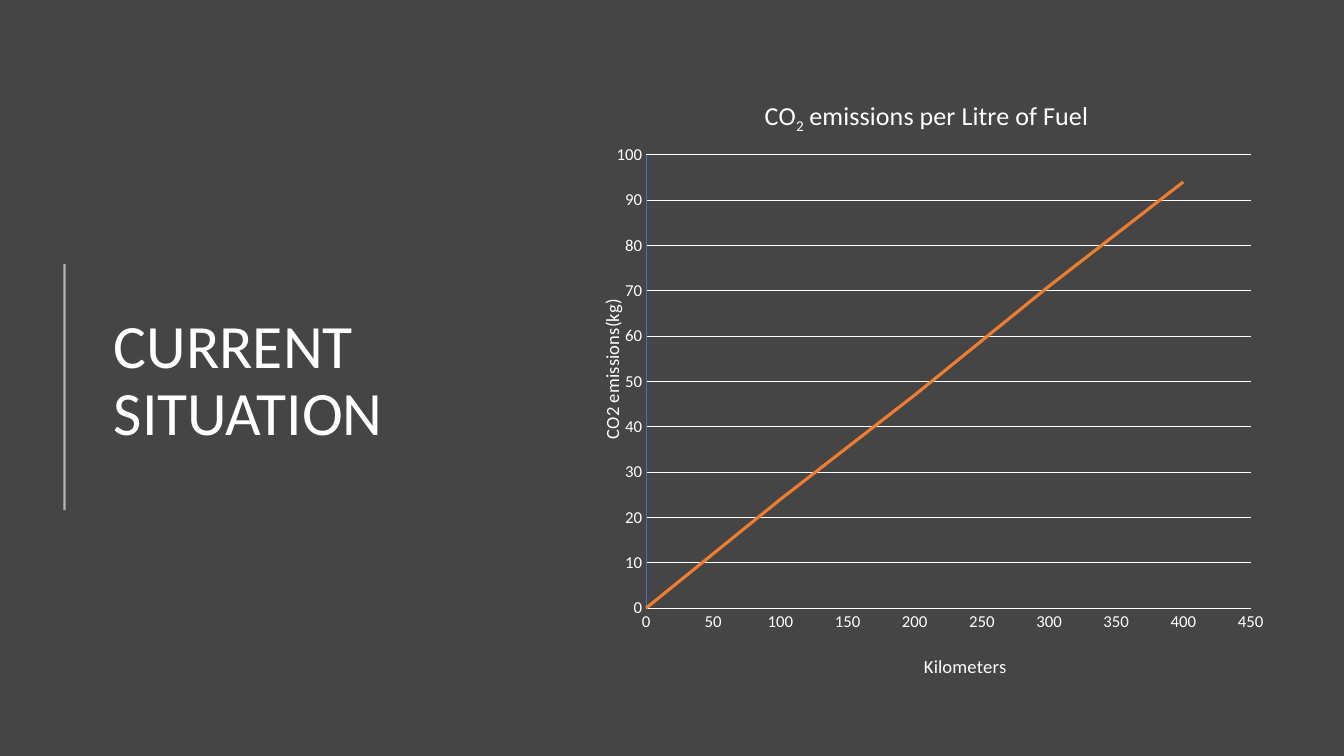
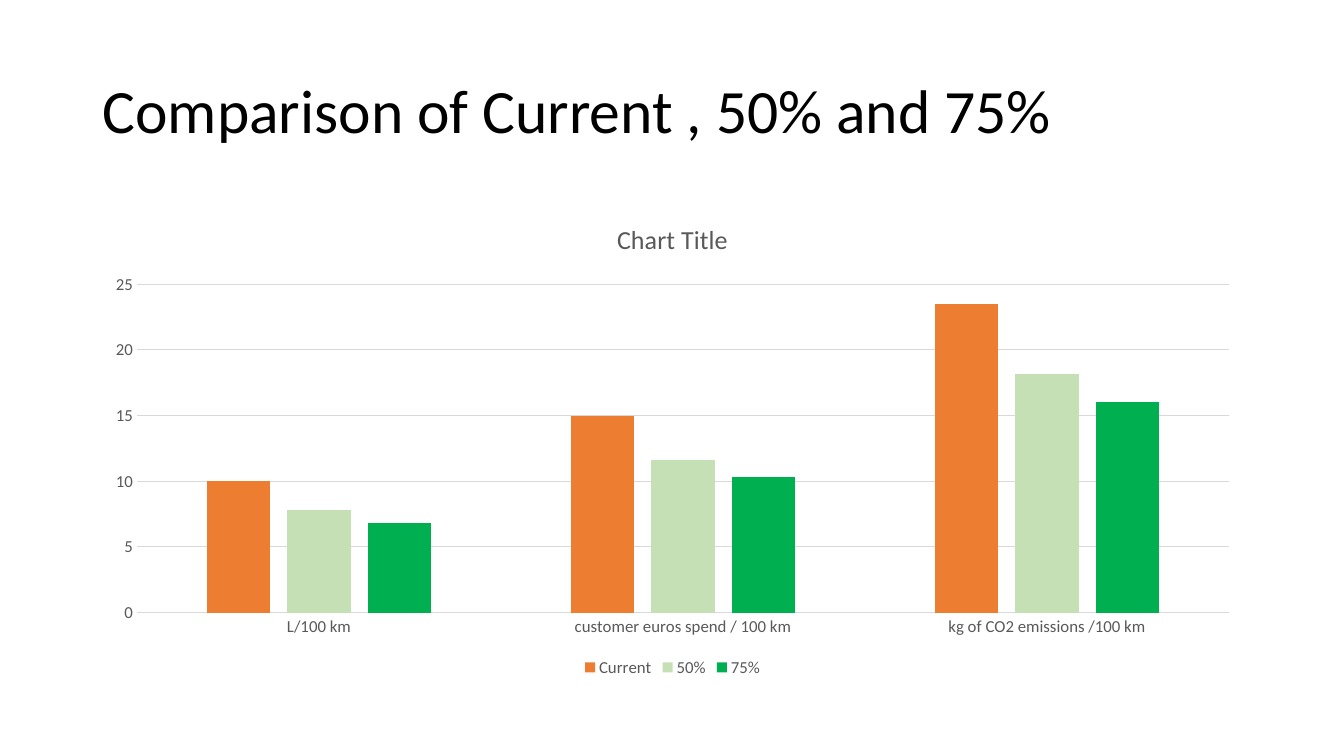
"""Build two slides on car emissions: the current situation and a comparison."""
from dataclasses import dataclass

from lxml.etree import SubElement
from pptx import Presentation
from pptx.chart.data import CategoryChartData, XyChartData
from pptx.dml.color import RGBColor
from pptx.enum.chart import XL_CHART_TYPE as ChartType
from pptx.enum.chart import XL_LEGEND_POSITION as LegendPosition
from pptx.enum.chart import XL_TICK_MARK as TickMark
from pptx.enum.shapes import MSO_CONNECTOR as Connector
from pptx.enum.text import MSO_ANCHOR as Anchor
from pptx.oxml import parse_xml
from pptx.oxml.ns import nsdecls, qn
from pptx.util import Inches, Pt


@dataclass(frozen=True)
class Theme:
    font: str = "Calibri"
    dark: str = "454545"
    white: str = "FFFFFF"
    black: str = "000000"
    gray: str = "595959"
    grid: str = "D9D9D9"
    blue: str = "4472C4"
    orange: str = "ED7D31"
    light_green: str = "C5E0B4"
    green: str = "00B050"
    title_size: float = 44
    chart_title_size: float = 18.6
    axis_title_size: float = 13.3
    label_size: float = 12
    hairline: float = 0.75


THEME = Theme()

SITUATION = {
    "title": "CURRENT SITUATION",
    "chart_title": [("CO", False), ("2", True), (" emissions per Litre of Fuel", False)],
    "x_title": "Kilometers",
    "y_title": "CO2 emissions(kg)",
    "points": [(0, 0), (100, 24), (200, 47), (300, 71), (400, 94)],
}
COMPARISON = {
    "title": "Comparison of Current , 50% and 75%",
    "chart_title": [("Chart Title", False)],
    "categories": ["L/100 km", "customer euros spend / 100 km", "kg of CO2 emissions /100 km"],
    "series": [
        ("Current", [10, 15, 23.5], THEME.orange),
        ("50%", [7.8, 11.6, 18.2], THEME.light_green),
        ("75%", [6.8, 10.3, 16], THEME.green),
    ],
}


def rgb(value):
    return RGBColor.from_string(value)


def inches(*values):
    return [Inches(value) for value in values]


def style_font(font, size, color):
    font.name, font.size, font.bold = THEME.font, Pt(size), False
    font.color.rgb = rgb(color)


def style_line(line, color, width=THEME.hairline):
    line.color.rgb = rgb(color)
    line.width = Pt(width)


def add_slide(presentation, background):
    slide = presentation.slides.add_slide(presentation.slide_layouts[6])
    slide.background.fill.solid()
    slide.background.fill.fore_color.rgb = rgb(background)
    return slide


def add_text(slide, text, box, size=THEME.title_size, color=THEME.black):
    frame = slide.shapes.add_textbox(*inches(*box)).text_frame
    frame.word_wrap = True
    frame.vertical_anchor = Anchor.MIDDLE
    paragraph = frame.paragraphs[0]
    paragraph.line_spacing = 0.9
    run = paragraph.add_run()
    run.text = text
    style_font(run.font, size, color)


def add_accent_line(slide, x, top, bottom):
    line = slide.shapes.add_connector(Connector.STRAIGHT, *inches(x, top, x, bottom))
    style_line(line.line, THEME.white, 1.5)
    color = line._element.spPr.find(".//" + qn("a:srgbClr"))
    SubElement(color, qn("a:alpha")).set("val", "60000")
    SubElement(line._element.spPr, qn("a:effectLst"))


def layout_xml(x, y, size=None):
    parts = {"x": x, "y": y}
    target = ""
    if size:
        parts.update(w=size[0], h=size[1])
        target = '<c:layoutTarget val="inner"/>'
    modes = "".join(f'<c:{key}Mode val="edge"/>' for key in "xy")
    values = "".join(f'<c:{key} val="{value}"/>' for key, value in parts.items())
    return parse_xml(f"<c:layout {nsdecls('c')}><c:manualLayout>{target}{modes}{values}"
                     "</c:manualLayout></c:layout>")


def set_title(title, runs, size, color, position=None):
    paragraph = title.text_frame.paragraphs[0]
    for text, subscript in runs:
        run = paragraph.add_run()
        run.text = text
        style_font(run.font, size, color)
        if subscript:
            run.font._element.set("baseline", "-25000")
    if position:
        element = title._element
        for old in element.findall(qn("c:layout")):
            element.remove(old)
        element.find(qn("c:tx")).addnext(layout_xml(*position))


def style_axis(axis, maximum, step, color):
    axis.major_tick_mark = axis.minor_tick_mark = TickMark.NONE
    style_font(axis.tick_labels.font, THEME.label_size, color)
    if step:
        axis.minimum_scale, axis.maximum_scale, axis.major_unit = 0, maximum, step


def add_chart(slide, kind, data, box, title, color, grid, maximum, step, title_at=None):
    chart = slide.shapes.add_chart(kind, *inches(*box), data).chart
    style_font(chart.font, 10, color)
    chart.has_legend = False
    set_title(chart.chart_title, title, THEME.chart_title_size, color, title_at)
    style_axis(chart.value_axis, maximum, step, color)
    chart.value_axis.has_major_gridlines = True
    style_line(chart.value_axis.major_gridlines.format.line, grid)
    style_line(chart.category_axis.format.line, grid)
    return chart


def build_situation(presentation):
    slide = add_slide(presentation, THEME.dark)
    add_text(slide, SITUATION["title"], (1.03, 0.78, 3.69, 6.02), color=THEME.white)
    add_accent_line(slide, 0.64, 2.62, 5.06)
    data = XyChartData()
    series = data.add_series("Series 1")
    for x, y in SITUATION["points"]:
        series.add_data_point(x, y)
    chart = add_chart(slide, ChartType.XY_SCATTER_LINES_NO_MARKERS, data,
                      (5.77, 0.7, 6.86, 6.09), SITUATION["chart_title"],
                      THEME.white, THEME.white, 100, 10, (0.26, 0.04))
    style_axis(chart.category_axis, 450, 50, THEME.white)
    chart.category_axis.has_major_gridlines = False
    style_line(chart.value_axis.format.line, THEME.blue)
    for axis, key, position in ((chart.category_axis, "x_title", (0.49, 0.95)),
                                (chart.value_axis, "y_title", (0.02, 0.37))):
        set_title(axis.axis_title, [(SITUATION[key], False)],
                  THEME.axis_title_size, THEME.white, position)
    plot_area = chart._chartSpace.chart.plotArea
    for old in plot_area.findall(qn("c:layout")):
        plot_area.remove(old)
    plot_area.insert(0, layout_xml(0.093, 0.138, (0.874, 0.743)))
    chart.plots[0].vary_by_categories = False
    chart.series[0].smooth = False
    style_line(chart.series[0].format.line, THEME.orange, 2.25)


def build_comparison(presentation):
    slide = add_slide(presentation, THEME.white)
    add_text(slide, COMPARISON["title"], (0.92, 0.4, 11.5, 1.45))
    data = CategoryChartData()
    data.categories = COMPARISON["categories"]
    for name, values, _ in COMPARISON["series"]:
        data.add_series(name, values)
    chart = add_chart(slide, ChartType.COLUMN_CLUSTERED, data, (0.92, 2, 11.5, 4.76),
                      COMPARISON["chart_title"], THEME.gray, THEME.grid, 25, 5)
    style_axis(chart.category_axis, None, None, THEME.gray)
    chart.value_axis.format.line.fill.background()
    plot = chart.plots[0]
    plot.gap_width, plot.overlap, plot.vary_by_categories = 219, -27, False
    for series, (_, _, color) in zip(plot.series, COMPARISON["series"]):
        series.format.fill.solid()
        series.format.fill.fore_color.rgb = rgb(color)
    chart.has_legend = True
    chart.legend.position = LegendPosition.BOTTOM
    chart.legend.include_in_layout = False
    style_font(chart.legend.font, THEME.label_size, THEME.gray)


def main():
    presentation = Presentation()
    presentation.slide_width, presentation.slide_height = inches(13.33, 7.5)
    build_situation(presentation)
    build_comparison(presentation)
    presentation.save("out.pptx")


if __name__ == "__main__":
    main()
